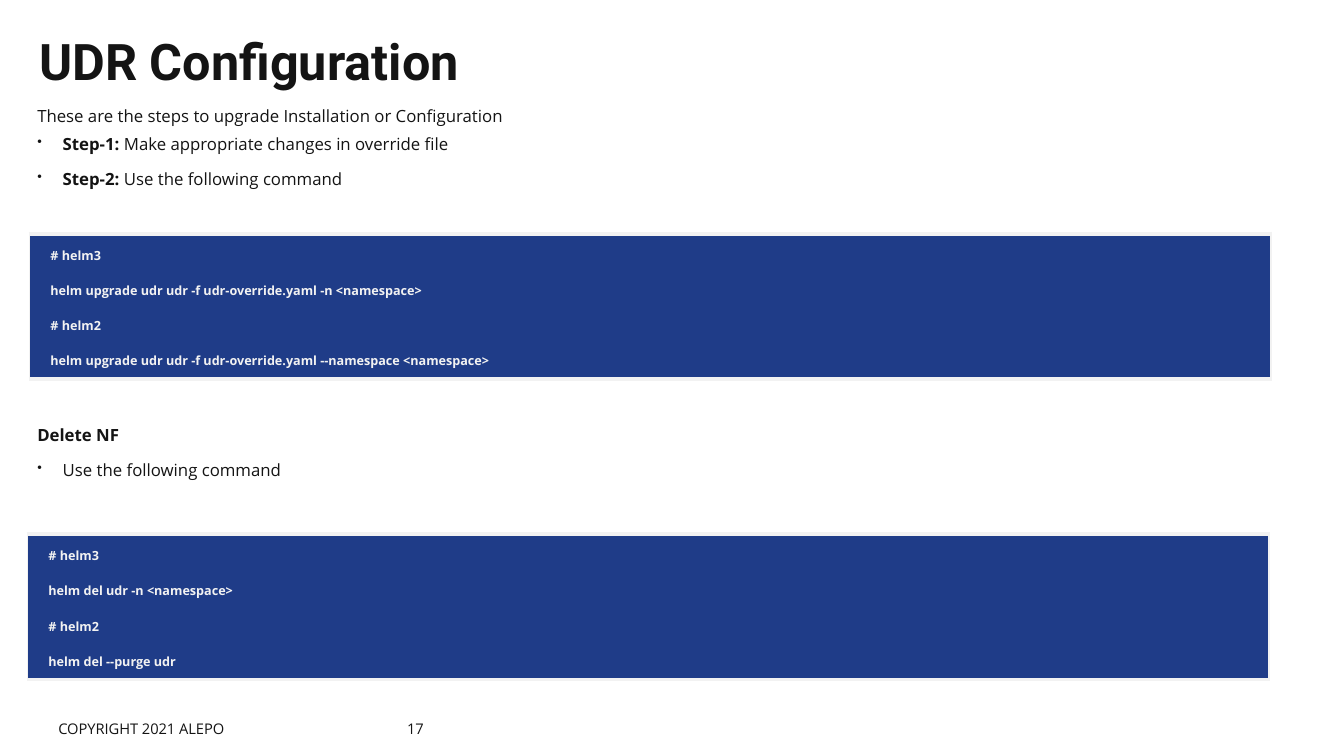
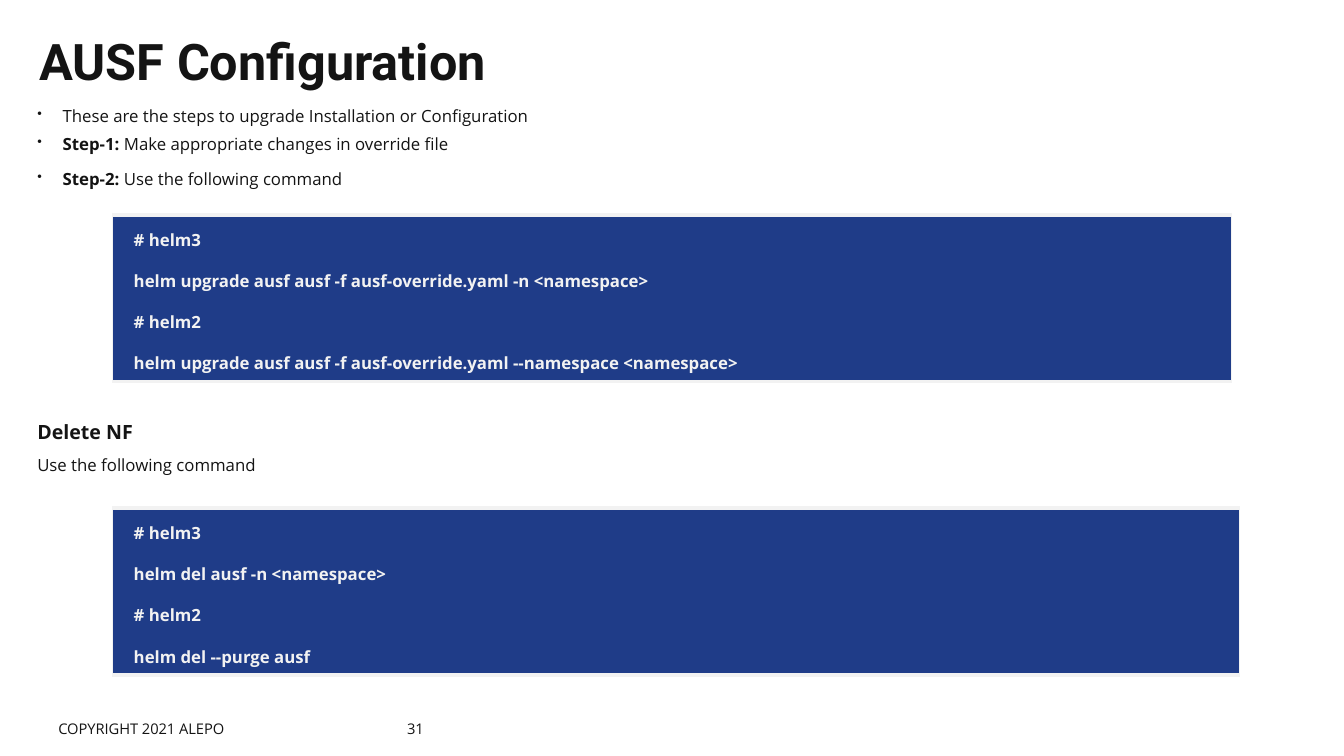
from lxml import etree
from pptx import Presentation
from pptx.dml.color import RGBColor
from pptx.enum.text import MSO_ANCHOR as Anchor
from pptx.oxml.ns import qn
from pptx.util import Cm, Pt

INK = RGBColor(0x14, 0x14, 0x14)
CODE_BLUE = RGBColor(0x1F, 0x3C, 0x88)
PALE = RGBColor(0xF2, 0xF2, 0xF2)
BODY_FONT, TITLE_FONT = "Open Sans", "Roboto"
BODY_LEFT, BODY_WIDTH = 0.69, 31.29

# Line spacing, space before and space after of each kind of paragraph
STEP = (1.07, 4.8, 4.8)
PLAIN = (0.9, 9, 0)
CODE = (1.07, 6, 6)


def write(frame, lines, font=BODY_FONT, color=INK, indent=0):
    """Fill a frame with (bold text, plain text, size, spacing, bulleted) lines."""
    frame.word_wrap = True
    for number, (strong, plain, size, spacing, bulleted) in enumerate(lines):
        line = frame.paragraphs[0] if number == 0 else frame.add_paragraph()
        props = line._p.get_or_add_pPr()
        props.set("marL", str(Cm(0.64 if bulleted else indent)))
        props.set("indent", str(Cm(-0.64 if bulleted else 0)))
        if bulleted:
            bullet_color = etree.SubElement(props, qn("a:buClr"))
            etree.SubElement(bullet_color, qn("a:srgbClr"), val=str(INK))
            etree.SubElement(props, qn("a:buSzPct"), val="80000")
            etree.SubElement(props, qn("a:buChar"), char="•")
        line.line_spacing, before, after = spacing[0], spacing[1], spacing[2]
        line.space_before = Pt(before if number else 0)
        line.space_after = Pt(after)
        line.font.name, line.font.size = font, Pt(size)
        line.font.color.rgb = color
        for words, bold in ((strong, True), (plain, False)):
            if words:
                run = line.add_run()
                run.text = words
                run.font.bold = bold


def add_text(slide, left, top, width, height, lines, anchor=Anchor.MIDDLE,
             inset=0.13, font=BODY_FONT):
    frame = slide.shapes.add_textbox(Cm(left), Cm(top), Cm(width), Cm(height)).text_frame
    frame.vertical_anchor = anchor
    frame.margin_top = Cm(inset)
    write(frame, lines, font)


# What differs between the two slides
INTRO = "These are the steps to upgrade Installation or Configuration"
USE = "Use the following command"
functions = [
    {"name": "udr", "page": "17", "intro_bullet": False, "code_size": 9,
     "delete": [("Delete NF", "", 12, STEP, False), ("", USE, 12, STEP, True)],
     "upgrade_box": (0.74, 5.89, 31.29, 3.63),
     "delete_box": (0.69, 13.46, 31.29, 3.63)},
    {"name": "ausf", "page": "31", "intro_bullet": True, "code_size": 12,
     "delete": [("Delete NF", "", 14, PLAIN, False), ("", USE, 12, PLAIN, False)],
     "upgrade_box": (2.84, 5.41, 28.19, 4.19),
     "delete_box": (2.84, 12.8, 28.4, 4.19)},
]

deck = Presentation()
deck.slide_width, deck.slide_height = Cm(33.87), Cm(19.05)

for function in functions:
    slide = deck.slides.add_slide(deck.slide_layouts[6])
    name = function["name"]

    # Footer
    for left, width, words in ((1.22, 9.47, "COPYRIGHT 2021 ALEPO"),
                               (10.01, 4.93, function["page"])):
        add_text(slide, left, 17.86, width, 1.02, [("", words, 10.5, (1, 0, 0), False)])

    # Title
    add_text(slide, 0.74, 0.56, BODY_WIDTH, 1.9,
             [(f"{name.upper()} Configuration", "", 36, (1, 0, 0), False)], font=TITLE_FONT)

    # Upgrade steps and deletion
    steps = [
        ("", INTRO, 12, PLAIN, function["intro_bullet"]),
        ("Step-1: ", "Make appropriate changes in override file", 12, STEP, True),
        ("Step-2: ", USE, 12, STEP, True),
    ]
    for top, height, lines in ((2.46, 2.8, steps), (10.41, 2.2, function["delete"])):
        add_text(slide, BODY_LEFT, top, BODY_WIDTH, height, lines, Anchor.TOP, 0.25)

    # Command boxes
    upgrade = f"helm upgrade {name} {name} -f {name}-override.yaml"
    commands = (
        (function["upgrade_box"], f"{upgrade} -n <namespace>",
         f"{upgrade} --namespace <namespace>"),
        (function["delete_box"], f"helm del {name} -n <namespace>",
         f"helm del --purge {name}"),
    )
    for box, helm3, helm2 in commands:
        table = slide.shapes.add_table(1, 1, *map(Cm, box)).table
        table.first_row = table.horz_banding = False
        cell = table.cell(0, 0)
        cell.margin_left, cell.margin_top = Cm(0.1), Cm(0.3)
        cell.margin_right, cell.margin_bottom = Cm(0.18), Cm(0.46)
        write(cell.text_frame,
              [(words, "", function["code_size"], CODE, False)
               for words in ("# helm3", helm3, "# helm2", helm2)],
              color=PALE, indent=0.43)
        cell_props = cell._tc.get_or_add_tcPr()
        for side, points in (("L", 1), ("R", 1), ("T", 3), ("B", 3)):
            border = etree.SubElement(cell_props, qn(f"a:ln{side}"), w=str(Pt(points)))
            border_fill = etree.SubElement(border, qn("a:solidFill"))
            etree.SubElement(border_fill, qn("a:srgbClr"), val=str(PALE))
        cell.fill.solid()
        cell.fill.fore_color.rgb = CODE_BLUE

deck.save("out.pptx")
